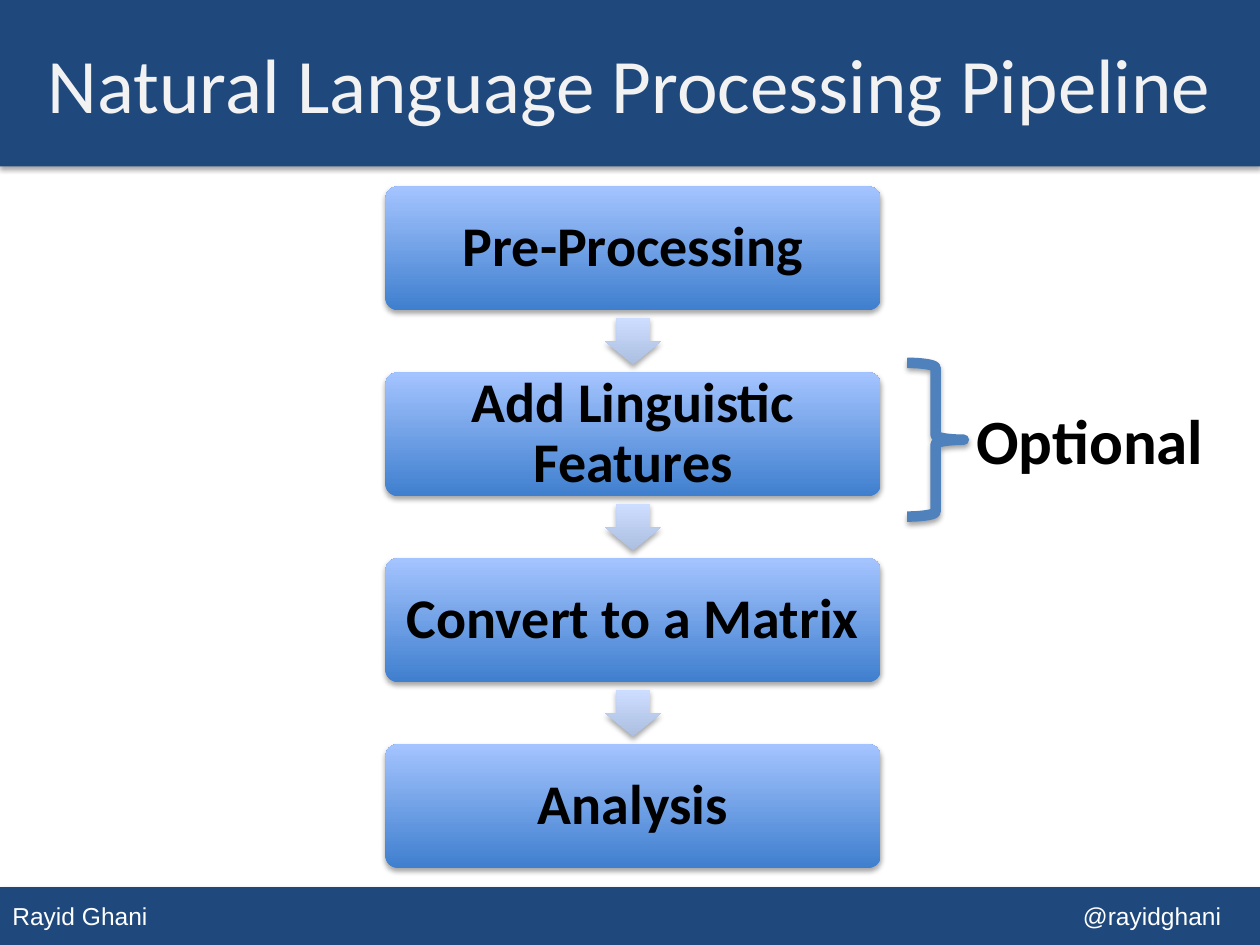
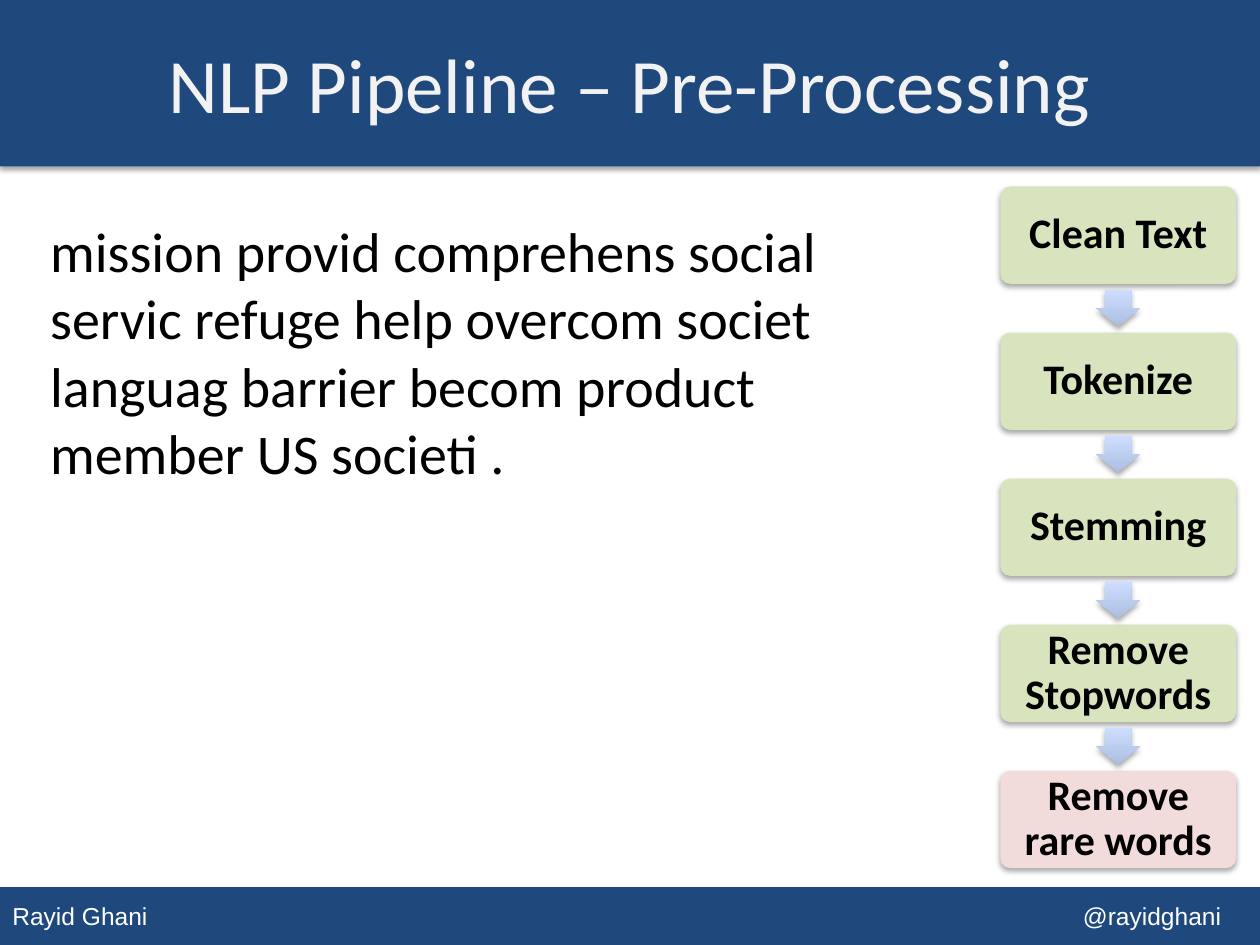
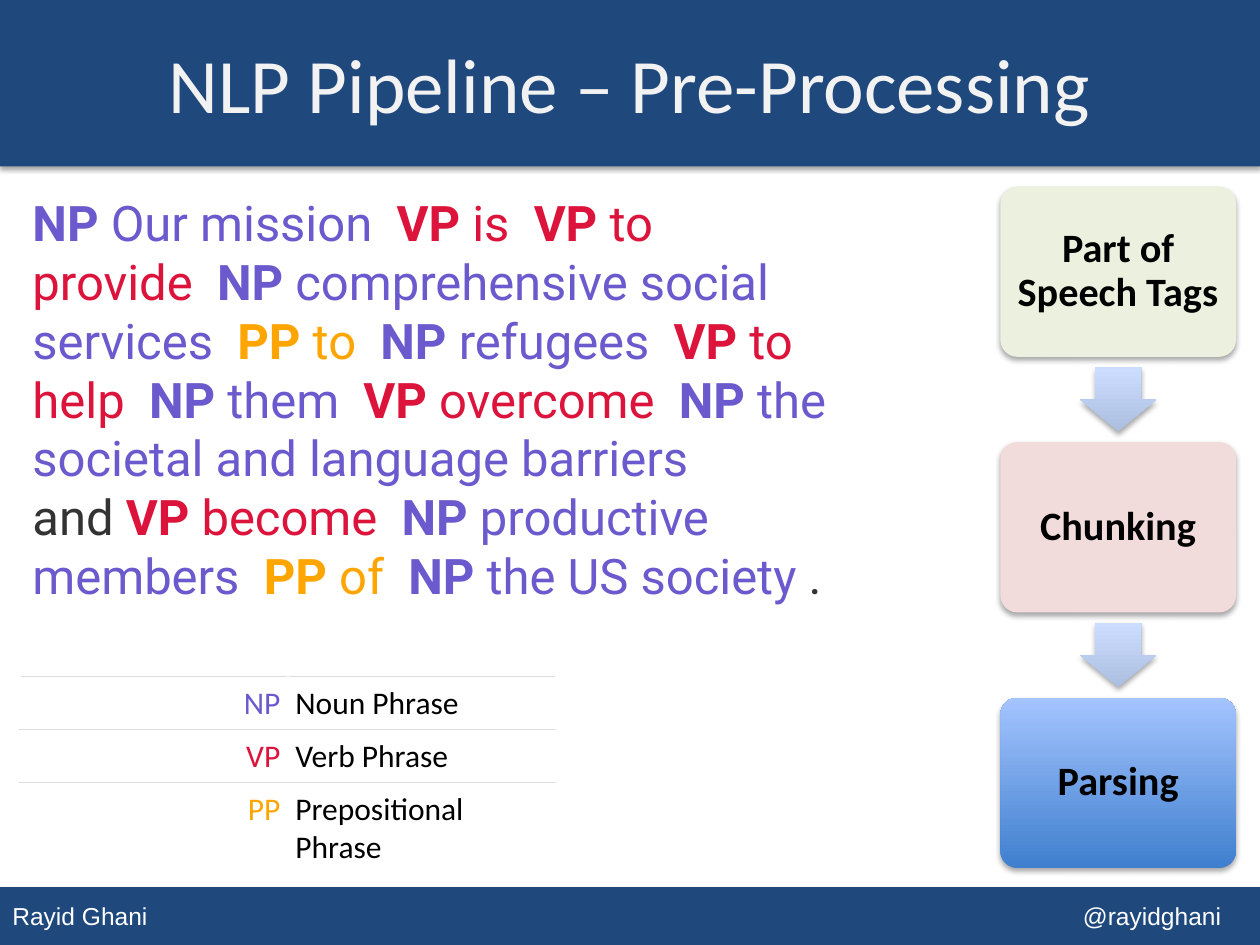
from lxml.etree import SubElement as Sub
from pptx import Presentation
from pptx.dml.color import RGBColor as RGB
from pptx.enum.shapes import MSO_SHAPE as Kind
from pptx.enum.text import MSO_ANCHOR as Anchor, PP_ALIGN as Align
from pptx.oxml.ns import qn
from pptx.util import Inches, Pt

HUES = {
    "navy": "1F497D", "white": "FFFFFF", "title": "F2F2F2", "black": "000000",
    "dark": "3F7FCE", "light": "A4C4FF", "tail": "ADBFE1", "head": "CCDDFF",
    "green": "D7E4BD", "pale": "EBF1DE", "pink": "F2DCDB", "brace": "4F81BD",
    "NP": "6A5ACD", "VP": "DC143C", "PP": "FFA500", "gray": "333333", "rule": "DDDDDD",
}
BLUE = ("dark", "light")
ICE = ("tail", "head")
HARD = chr(160)
SIDE = (7.94, 1.48, 1.87, 5.41)

CHUNKS = [
    ("NP", "Our mission"), ("VP", "is"), ("VP", "to provide"),
    ("NP", "comprehensive social services"), ("PP", "to"), ("NP", "refugees"),
    ("VP", "to help"), ("NP", "them"), ("VP", "overcome"),
    ("NP", "the societal and language barriers"), ("", f"{HARD} and{HARD}"),
    ("VP", "become"), ("NP", "productive members"), ("PP", "of"),
    ("NP", "the US society"), ("", f"{HARD}."),
]
LEGEND = [("NP", "Noun Phrase"), ("VP", "Verb Phrase"), ("PP", "Prepositional Phrase")]


def hue(name):
    """Return the named colour."""
    return RGB.from_string(HUES[name])


def paint(fill, tint):
    """Fill with one colour, or fade up from the first of two."""
    if isinstance(tint, str):
        fill.solid()
        fill.fore_color.rgb = hue(tint)
        return
    fill.gradient()
    fill.gradient_angle = 90
    for stop, name in zip(fill.gradient_stops, tint):
        stop.color.rgb = hue(name)


def shade(shape):
    """Give a shape the soft shadow of the deck."""
    shape.shadow.inherit = False
    effect = shape._element.spPr.find(qn("a:effectLst"))
    drop = Sub(effect, qn("a:outerShdw"), blurRad="40000", dist="23000",
               dir="5400000", rotWithShape="0")
    color = Sub(drop, qn("a:srgbClr"), val=HUES["black"])
    Sub(color, qn("a:alpha"), val="35000")


def draw(slide, kind, box, tint=None):
    """Add a preset shape with a shadow and no outline."""
    shape = slide.shapes.add_shape(kind, *map(Inches, box))
    shape.line.fill.background()
    if tint:
        paint(shape.fill, tint)
    else:
        shape.fill.background()
    shade(shape)
    return shape


def write(frame, runs, size, font="Calibri", align=Align.LEFT):
    """Write runs of (text, colour, bold) as one paragraph."""
    para = frame.paragraphs[0]
    para.alignment = align
    for words, name, bold in runs:
        run = para.add_run()
        run.text = words
        run.font.name, run.font.size, run.font.bold = font, Pt(size), bold
        run.font.color.rgb = hue(name)
    return para


def label(slide, box, runs, size, wrap=True, anchor=Anchor.TOP, **style):
    """Add a text box."""
    frame = slide.shapes.add_textbox(*map(Inches, box)).text_frame
    frame.word_wrap, frame.vertical_anchor = wrap, anchor
    write(frame, runs, size, **style)


def page(deck, title):
    """Add a slide with its bands, title and footer."""
    slide = deck.slides.add_slide(deck.slide_layouts[6])
    foot = (0, 7.04, 10, 0.46)
    draw(slide, Kind.RECTANGLE, foot, "navy")
    for words, width, align in (("Rayid Ghani", 5, Align.LEFT),
                                ("@rayidghani", 9.79, Align.RIGHT)):
        label(slide, (0, foot[1], width, foot[3]), [(words, "white", False)], 14,
              anchor=Anchor.MIDDLE, font="Arial", align=align)
    draw(slide, Kind.RECTANGLE, (0, 0, 10, 1.32), "navy")
    label(slide, (0, 0.03, 10, 1.25), [(title, "title", False)], 44,
          anchor=Anchor.MIDDLE, align=Align.CENTER)
    return slide


def flow(slide, box, steps, size):
    """Stack the steps in a box, with arrows in gaps half a step high."""
    left, top, width, height = box
    tall = height / (1.5 * len(steps) - 0.5)
    for i, (words, tint) in enumerate(steps):
        y = top + 1.5 * tall * i
        card = draw(slide, Kind.ROUNDED_RECTANGLE, (left, y, width, tall), tint)
        card.adjustments[0] = 0.1
        frame = card.text_frame
        frame.word_wrap, frame.vertical_anchor = True, Anchor.MIDDLE
        frame.margin_left = frame.margin_right = Inches(size / 250)
        frame.margin_top = frame.margin_bottom = Inches(size / 250)
        para = write(frame, [(words, "black", True)], size, align=Align.CENTER)
        para.line_spacing = 0.9
        if i:
            wide, deep = 0.45 * tall, 0.375 * tall
            spot = (left + (width - wide) / 2, y - (0.5 * tall + deep) / 2, wide, deep)
            arrow = draw(slide, Kind.DOWN_ARROW, spot, ICE)
            arrow.adjustments[0], arrow.adjustments[1] = 0.6, 0.5


def note(slide, box, words):
    """Draw a brace with a bold word beside its middle."""
    left, top, width, height = box
    brace = draw(slide, Kind.RIGHT_BRACE, box)
    brace.line.color.rgb, brace.line.width = hue("brace"), Pt(6)
    label(slide, (left + width, top + (height - 0.71) / 2, 2.03, 0.71),
          [(words, "black", True)], 36, wrap=False)


def rule(cell, sides):
    """Draw thin lines on the given sides of a cell."""
    for side in sides:
        line = Sub(cell._tc.get_or_add_tcPr(), qn(f"a:ln{side}"), w="6350")
        Sub(Sub(line, qn("a:solidFill")), qn("a:srgbClr"), val=HUES["rule"])


def legend(slide, box, rows):
    """Add the table of phrase tags."""
    table = slide.shapes.add_table(len(rows), 2, *map(Inches, box)).table
    table.first_row = table.horz_banding = False
    for i, (tag, words) in enumerate(rows):
        last = i == len(rows) - 1
        table.rows[i].height = Inches(box[3] - 0.42 * i if last else 0.42)
        for j, (text, name, align) in enumerate(((tag, tag, Align.RIGHT),
                                                 (words, "black", Align.LEFT))):
            cell = table.cell(i, j)
            cell.margin_left = cell.margin_right = Inches(0.06)
            cell.margin_top = cell.margin_bottom = Inches(0.06)
            rule(cell, "T" if last else "TB")
            paint(cell.fill, "white")
            write(cell.text_frame, [(text, name, False)], 18, align=align)


def parse_runs(chunks):
    """Turn tagged chunks into runs, parted by hard spaces."""
    runs = []
    for i, (tag, words) in enumerate(chunks):
        if tag:
            runs.append((tag + HARD, tag, True))
            glue = chunks[i + 1][0] if i + 1 < len(chunks) else ""
            runs.append((words + HARD * 2 if glue else words, tag, False))
        else:
            runs.append((words, "gray", False))
    return runs


def main():
    """Build the deck."""
    deck = Presentation()
    deck.slide_width, deck.slide_height = Inches(10), Inches(7.5)

    slide = page(deck, "Natural Language Processing Pipeline")
    steps = ("Pre-Processing", "Add Linguistic Features", "Convert to a Matrix", "Analysis")
    flow(slide, (3.06, 1.48, 3.93, 5.41), [(step, BLUE) for step in steps], 32)
    note(slide, (7.2, 2.88, 0.45, 1.22), "Optional")

    slide = page(deck, "NLP Pipeline – Pre-Processing")
    done = ("Clean Text", "Tokenize", "Stemming", "Remove Stopwords")
    flow(slide, SIDE, [(step, "green") for step in done] + [("Remove rare words", "pink")], 24)
    stems = ("mission provid comprehens social servic refuge help overcom societ "
             "languag barrier becom product member US societi .")
    label(slide, (0.3, 1.67, 7.03, 2.26), [(stems, "black", False)], 32)

    slide = page(deck, "NLP Pipeline – Pre-Processing")
    flow(slide, SIDE, [("Part of Speech Tags", "pale"), ("Chunking", "pink"),
                       ("Parsing", BLUE)], 23)
    legend(slide, (0.16, 5.37, 4.25, 1.53), LEGEND)
    label(slide, (0.16, 1.48, 7.27, 4.34), parse_runs(CHUNKS), 28, font="Roboto")

    deck.save("out.pptx")


if __name__ == "__main__":
    main()
